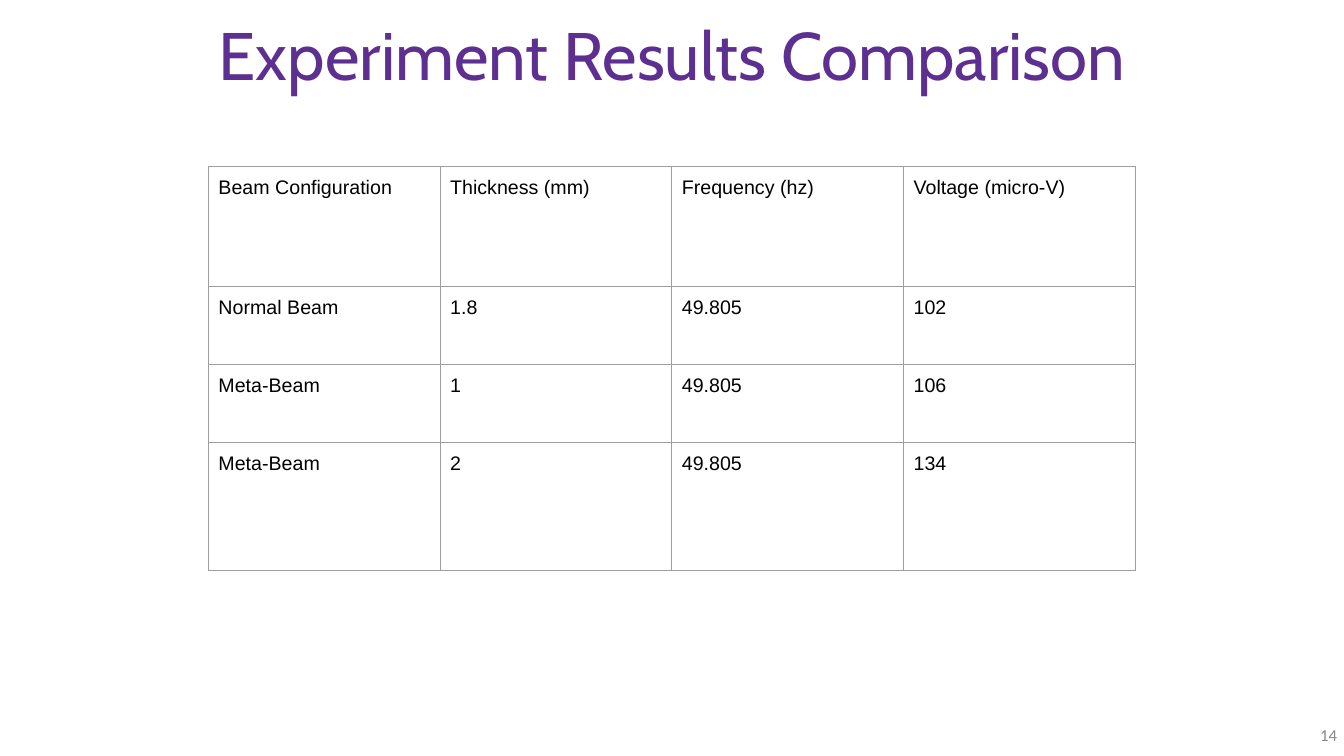
from lxml.etree import SubElement
from pptx import Presentation
from pptx.dml.color import RGBColor
from pptx.enum.shapes import MSO_SHAPE as SHAPE
from pptx.enum.text import MSO_ANCHOR as ANCHOR, PP_ALIGN as ALIGN
from pptx.oxml.ns import qn
from pptx.util import Pt

TITLE = "Experiment Results Comparison"
PAGE = "14"
RESULTS = [
    ("Beam Configuration", "Thickness (mm)", "Frequency (hz)", "Voltage (micro-V)"),
    ("Normal Beam", "1.8", "49.805", "102"),
    ("Meta-Beam", "1", "49.805", "106"),
    ("Meta-Beam", "2", "49.805", "134"),
]
ROW_HEIGHTS = [120, 78, 78, 128]
COL_WIDTH = 231.75
TABLE_LEFT, TABLE_TOP = 208.4, 166.4
CELL_PAD = Pt(7.2)
SLIDE_W, SLIDE_H = 1344, 756
COLORS = {"title": "5D2F91", "page": "888888", "text": "000000",
          "border": "9E9E9E", "white": "FFFFFF"}


def px(n):
    return round(n * 914400 / 100.8)


def rgb(color):
    return RGBColor.from_string(COLORS[color])


def add_run(p, text, size, font, color):
    r = p.add_run()
    r.text = text
    r.font.size = Pt(size)
    r.font.name = font
    r.font.bold = False
    r.font.color.rgb = rgb(color)


def add_rect(slide, box):
    sp = slide.shapes.add_shape(SHAPE.RECTANGLE, *map(px, box))
    sp.shadow.inherit = False
    return sp


def set_text(sp, text, size, font, color, align):
    tf = sp.text_frame
    tf.word_wrap = True
    tf.vertical_anchor = ANCHOR.MIDDLE
    p = tf.paragraphs[0]
    p.alignment = align
    add_run(p, text, size, font, color)
    return p


def add_frame(slide):
    sp = add_rect(slide, (0, 0, SLIDE_W, SLIDE_H))
    sp.fill.background()
    sp.line.color.rgb = rgb("white")
    sp.line.width = Pt(1)


def add_page(slide):
    sp = slide.shapes.add_textbox(*map(px, (1305, 715, 42, 40)))
    set_text(sp, PAGE, 12, "Calibri", "page", ALIGN.RIGHT)


def add_title(slide):
    sp = add_rect(slide, (0, 0, SLIDE_W, 118))
    sp.fill.solid()
    sp.fill.fore_color.rgb = rgb("white")
    sp.line.fill.background()
    p = set_text(sp, TITLE, 48, "Cabin", "title", ALIGN.CENTER)
    p.line_spacing = 0.9


def add_borders(cell):
    tc_pr = cell._tc.get_or_add_tcPr()
    for side in ("lnL", "lnR", "lnT", "lnB"):
        ln = SubElement(tc_pr, qn(f"a:{side}"), w=str(Pt(0.75)))
        fill = SubElement(ln, qn("a:solidFill"))
        SubElement(fill, qn("a:srgbClr"), val=COLORS["border"])


def add_results(slide):
    rows, cols = len(RESULTS), len(RESULTS[0])
    table = slide.shapes.add_table(
        rows, cols, px(TABLE_LEFT), px(TABLE_TOP),
        px(cols * COL_WIDTH), px(sum(ROW_HEIGHTS))).table
    table.first_row = table.horz_banding = False
    for col in table.columns:
        col.width = px(COL_WIDTH)
    for row, height, values in zip(table.rows, ROW_HEIGHTS, RESULTS):
        row.height = px(height)
        for cell, value in zip(row.cells, values):
            cell.margin_left = cell.margin_right = CELL_PAD
            cell.margin_top = cell.margin_bottom = CELL_PAD
            add_borders(cell)
            cell.fill.background()
            add_run(cell.text_frame.paragraphs[0], value, 14, "Arial", "text")


def main():
    prs = Presentation()
    prs.slide_width, prs.slide_height = px(SLIDE_W), px(SLIDE_H)
    slide = prs.slides.add_slide(prs.slide_layouts[6])
    add_frame(slide)
    add_page(slide)
    add_title(slide)
    add_results(slide)
    prs.save("out.pptx")


if __name__ == "__main__":
    main()
